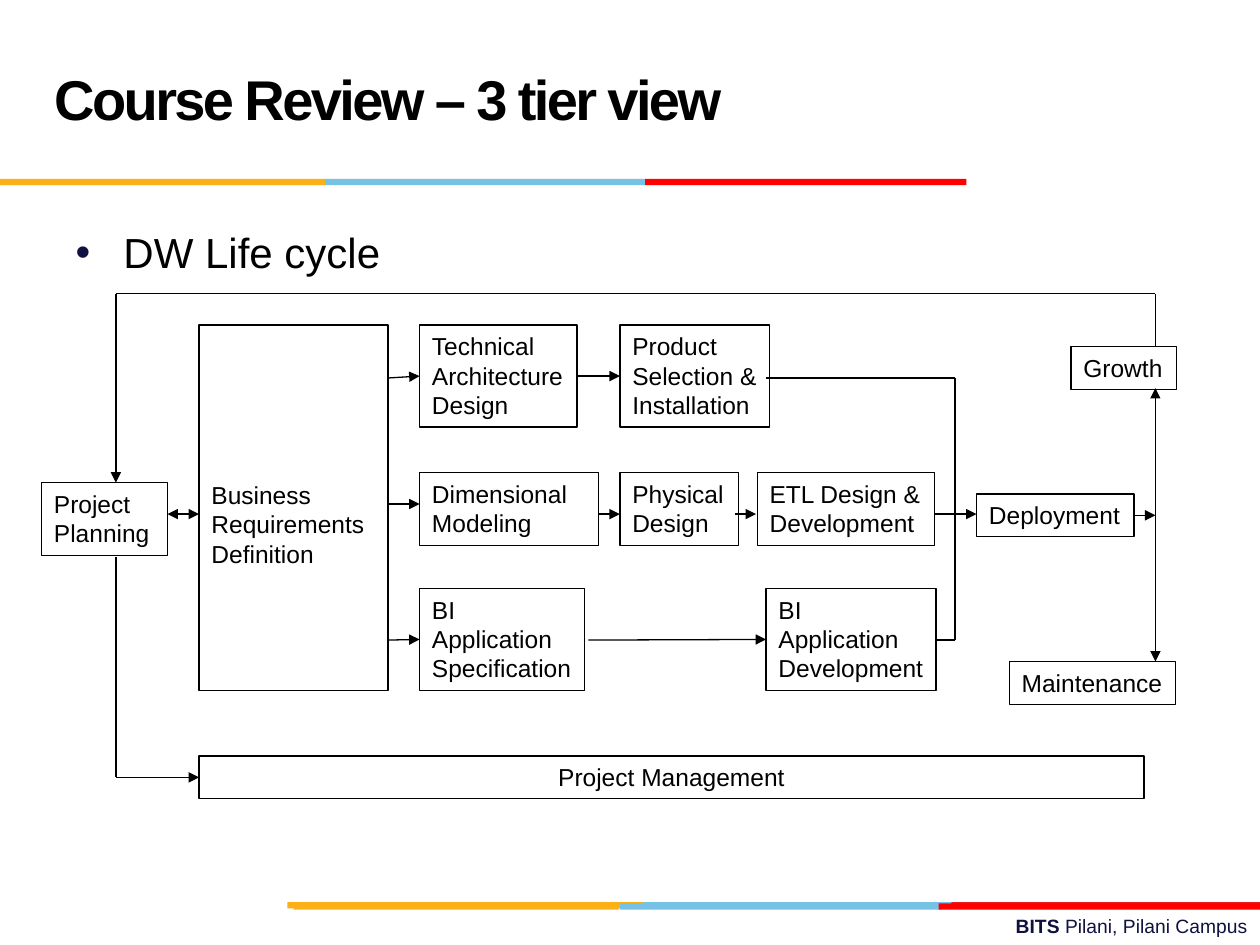
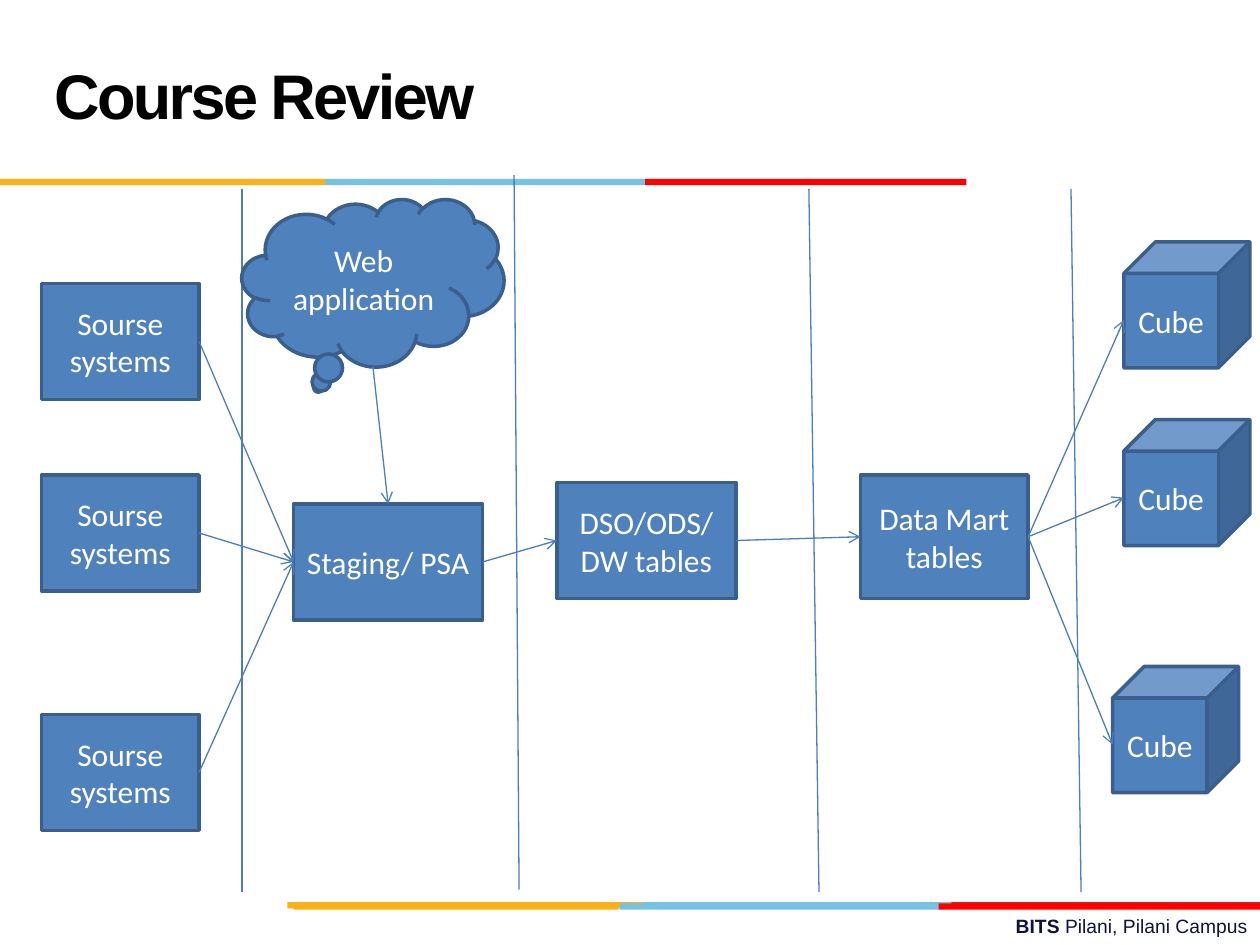
from lxml import etree
from pptx import Presentation
from pptx.dml.color import RGBColor
from pptx.enum.shapes import MSO_CONNECTOR, MSO_SHAPE
from pptx.enum.text import MSO_ANCHOR, MSO_AUTO_SIZE, PP_ALIGN
from pptx.oxml.ns import qn
from pptx.util import Inches, Pt

RECTANGLE, CUBE, CLOUD = MSO_SHAPE.RECTANGLE, MSO_SHAPE.CUBE, MSO_SHAPE.CLOUD_CALLOUT
STRAIGHT = MSO_CONNECTOR.STRAIGHT
TOP, MIDDLE = MSO_ANCHOR.TOP, MSO_ANCHOR.MIDDLE
LEFT, CENTER, RIGHT = PP_ALIGN.LEFT, PP_ALIGN.CENTER, PP_ALIGN.RIGHT
TOP_SIDE, LEFT_SIDE, RIGHT_SIDE = 0, 1, 3
TITLE_AND_CONTENT, TITLE_ONLY = 1, 5

COLORS = {
    "black": "000000", "white": "FFFFFF", "navy": "101141",
    "gold": "FCB017", "sky": "76C2E5", "red": "FF0000", "crimson": "E31C24",
    "blue": "4F81BD", "blue edge": "3A5F8C", "blue line": "4B7EBC",
}
# Each band: top, then (left, width, colour) of its pieces
BANDS = [
    (7.16, [(5.06, 2.55, "sky"), (7.55, 2.45, "crimson"), (2.28, 2.82, "gold")]),
    (7.17, [(4.92, 2.55, "sky"), (2.33, 2.58, "gold"), (7.45, 2.55, "red")]),
    (1.42, [(2.58, 2.55, "sky"), (0, 2.58, "gold"), (5.12, 2.55, "red")]),
]


def color(name):
    return RGBColor.from_string(COLORS[name])


class Deck:
    """Holds the shared style and the slide being built."""

    def __init__(self):
        self.presentation = Presentation()
        self.presentation.slide_width = Inches(10)
        self.presentation.slide_height = Inches(7.5)
        self.slide = None

    def new_slide(self, layout, title, title_size):
        layouts = self.presentation.slide_layouts
        self.slide = self.presentation.slides.add_slide(layouts[layout])
        for top, pieces in BANDS:
            for left, width, fill in pieces:
                self.box((left, top, width, 0.05), fill=fill, line=None)
        self.footer()
        self.title(title, title_size)

    def place(self, shape, left, top, width, height):
        shape.left, shape.top = Inches(left), Inches(top)
        shape.width, shape.height = Inches(width), Inches(height)

    def style(self, paragraph, size, ink, font="Arial", align=LEFT):
        paragraph.alignment = align
        paragraph.font.name = font
        paragraph.font.size = Pt(size)
        paragraph.font.color.rgb = color(ink)

    def title(self, text, size):
        shape = self.slide.shapes.title
        self.place(shape, 0.33, 0.17, 6.92, 1.25)
        frame = shape.text_frame
        frame.text = text
        frame.auto_size = MSO_AUTO_SIZE.NONE
        frame.vertical_anchor = MIDDLE
        paragraph = frame.paragraphs[0]
        self.style(paragraph, size, "black")
        paragraph.line_spacing = Pt(36)
        paragraph.font.bold = True
        for run in paragraph.runs:
            run.font._element.set("spc", "-150")

    def bullets(self, items):
        shape = self.slide.placeholders[1]
        self.place(shape, 0.5, 1.75, 9, 4.95)
        frame = shape.text_frame
        frame.text = "\n".join(items)
        frame.auto_size = MSO_AUTO_SIZE.NONE
        for paragraph in frame.paragraphs:
            paragraph.space_before = Pt(0)
            properties = paragraph._p.get_or_add_pPr()
            properties.set("marL", str(Inches(0.38)))
            properties.set("indent", str(-Inches(0.38)))
            tint = etree.SubElement(properties, qn("a:buClr"))
            etree.SubElement(tint, qn("a:srgbClr"), val=COLORS["navy"])
            etree.SubElement(properties, qn("a:buFont"), typeface="Arial")
            etree.SubElement(properties, qn("a:buChar"), char="•")
            self.style(paragraph, 24, "black")

    def footer(self):
        shape = self.slide.shapes.add_textbox(
            Inches(3.58), Inches(7.21), Inches(6.42), Inches(0.29))
        shape.text_frame.word_wrap = True
        paragraph = shape.text_frame.paragraphs[0]
        paragraph.add_run().text = "BITS "
        paragraph.add_run().text = "Pilani, Pilani Campus"
        paragraph.runs[0].font.bold = True
        self.style(paragraph, 11, "navy", align=RIGHT)

    def box(self, position, kind=RECTANGLE, fill=None, line="black", weight=0.75):
        shape = self.slide.shapes.add_shape(kind, *map(Inches, position))
        shape.shadow.inherit = False
        if fill:
            shape.fill.solid()
            shape.fill.fore_color.rgb = color(fill)
        else:
            shape.fill.background()
        if line:
            shape.line.color.rgb = color(line)
            shape.line.width = Pt(weight)
        else:
            shape.line.fill.background()
        return shape

    def step(self, text, *position, align=LEFT, anchor=TOP, margin_top=0.05):
        """Outlined box with black text."""
        shape = self.box(position)
        frame = shape.text_frame
        frame.text = text
        frame.word_wrap = True
        frame.vertical_anchor = anchor
        frame.margin_top = Inches(margin_top)
        if align == LEFT:
            frame.margin_right = 0
        for paragraph in frame.paragraphs:
            self.style(paragraph, 14, "black", align=align)
        return shape

    def system(self, text, *position, kind=RECTANGLE):
        """Blue shape with white text."""
        shape = self.box(position, kind, "blue", "blue edge", 2)
        frame = shape.text_frame
        frame.text = text
        frame.word_wrap = True
        frame.vertical_anchor = MIDDLE
        self.style(frame.paragraphs[0], 18, "white", "Calibri", CENTER)
        return shape

    def connect(self, start, end, ink="black", head=None, tail=None):
        """Line between two ends, each a point (x, y) or a (shape, side)."""
        joins = [not isinstance(place[0], (int, float)) for place in (start, end)]
        points = [(0, 0) if joined else place
                  for joined, place in zip(joins, (start, end))]
        connector = self.slide.shapes.add_connector(
            STRAIGHT, *(Inches(value) for point in points for value in point))
        if joins[0]:
            connector.begin_connect(*start)
        if joins[1]:
            connector.end_connect(*end)
        connector.line.color.rgb = color(ink)
        connector.line.width = Pt(0.75)
        outline = connector.line._get_or_add_ln()
        for tag, arrow in (("a:headEnd", head), ("a:tailEnd", tail)):
            if arrow:
                etree.SubElement(outline, qn(tag), type=arrow)
        etree.SubElement(connector._element.spPr, qn("a:effectLst"))

    def path_through(self, *points, tail=None):
        """Chain of lines; only the last one has an arrowhead."""
        for start, end in zip(points, points[1:]):
            self.connect(start, end, tail=tail if end is points[-1] else None)


def build_life_cycle(deck):
    deck.new_slide(TITLE_AND_CONTENT, "Course Review – 3 tier view", 32)
    deck.bullets(["DW Life cycle"])

    # Steps
    deck.step("Project\nPlanning", 0.33, 3.83, 1, 0.58)
    deck.step("Business\nRequirements\nDefinition", 1.58, 2.58, 1.5, 2.9,
              anchor=MIDDLE, margin_top=0.31)
    architecture = deck.step("Technical\nArchitecture\nDesign", 3.33, 2.58, 1.25, 0.81)
    product = deck.step("Product\nSelection &\nInstallation", 4.92, 2.58, 1.19, 0.81)
    deck.step("Dimensional\nModeling", 3.33, 3.75, 1.42, 0.58)
    deck.step("Physical\nDesign", 4.92, 3.75, 0.94, 0.58)
    deck.step("ETL Design &\nDevelopment", 6.01, 3.75, 1.41, 0.58)
    specification = deck.step("BI\nApplication\nSpecification", 3.33, 4.67, 1.31, 0.81)
    development = deck.step("BI\nApplication\nDevelopment", 6.08, 4.67, 1.35, 0.81)
    deployment = deck.step("Deployment", 7.75, 3.92, 1.25, 0.34)
    deck.step("Growth", 8.5, 2.75, 0.84, 0.34)
    deck.step("Maintenance", 8.01, 5.25, 1.32, 0.34)
    management = deck.step("Project Management", 1.58, 6, 7.5, 0.34, align=CENTER)

    # Arrows between steps
    for start, end in [
        ((3.08, 3), (architecture, LEFT_SIDE)),
        ((3.08, 4), (3.33, 4)),
        ((3.08, 5.08), (specification, LEFT_SIDE)),
        ((architecture, RIGHT_SIDE), (product, LEFT_SIDE)),
        ((4.75, 4.08), (4.92, 4.08)),
        ((5.83, 4.08), (6, 4.08)),
        ((4.67, 5.08), (development, LEFT_SIDE)),
        ((7.42, 4.08), (7.75, 4.08)),
        ((deployment, RIGHT_SIDE), (9.17, 4.09)),
    ]:
        deck.connect(start, end, tail="triangle")
    for start, end in [((1.33, 4.08), (1.58, 4.08)), ((9.17, 3.08), (9.17, 5.25))]:
        deck.connect(start, end, head="triangle", tail="triangle")

    # Merge into deployment, loop back from growth, and path to management
    deck.path_through((6.08, 3), (7.58, 3), (7.58, 5.08), (7.42, 5.08))
    deck.path_through((9.17, 2.75), (9.17, 2.33), (0.92, 2.33), (0.92, 3.83),
                      tail="triangle")
    deck.path_through((0.92, 4.42), (0.92, 6.17), (management, LEFT_SIDE),
                      tail="triangle")


def build_architecture(deck):
    deck.new_slide(TITLE_ONLY, "Course Review", 36)

    # Tier dividers
    for start, end in [((1.92, 1.5), (1.92, 7.08)), ((4.08, 1.39), (4.12, 7.06)),
                       ((6.42, 1.5), (6.5, 7.08)), ((8.5, 1.5), (8.58, 7.08))]:
        deck.connect(start, end, "blue line")

    # Systems
    sources = [deck.system("Sourse systems", 0.33, top, 1.25, 0.92)
               for top in (2.25, 3.77, 5.67)]
    deck.system("Web application", 1.92, 1.58, 2.08, 1.33, kind=CLOUD)
    staging = deck.system("Staging/ PSA", 2.33, 4, 1.5, 0.92)
    warehouse = deck.system("DSO/ODS/ DW tables", 4.42, 3.83, 1.42, 0.92)
    data_mart = deck.system("Data Mart tables", 6.83, 3.77, 1.33, 0.98)
    cubes = [(8.92, 1.92), (8.92, 3.33), (8.83, 5.29)]
    for left, top in cubes:
        deck.system("Cube", left, top, 1, 1, kind=CUBE)

    # Data flow
    flows = [((source, RIGHT_SIDE), (staging, LEFT_SIDE)) for source in sources]
    flows += [
        ((2.96, 2.91), (staging, TOP_SIDE)),
        ((staging, RIGHT_SIDE), (warehouse, LEFT_SIDE)),
        ((warehouse, RIGHT_SIDE), (data_mart, LEFT_SIDE)),
    ]
    flows += [((data_mart, RIGHT_SIDE), (left, top + 0.62)) for left, top in cubes]
    for start, end in flows:
        deck.connect(start, end, "blue line", tail="arrow")


def main():
    deck = Deck()
    build_life_cycle(deck)
    build_architecture(deck)
    deck.presentation.save("out.pptx")


if __name__ == "__main__":
    main()
